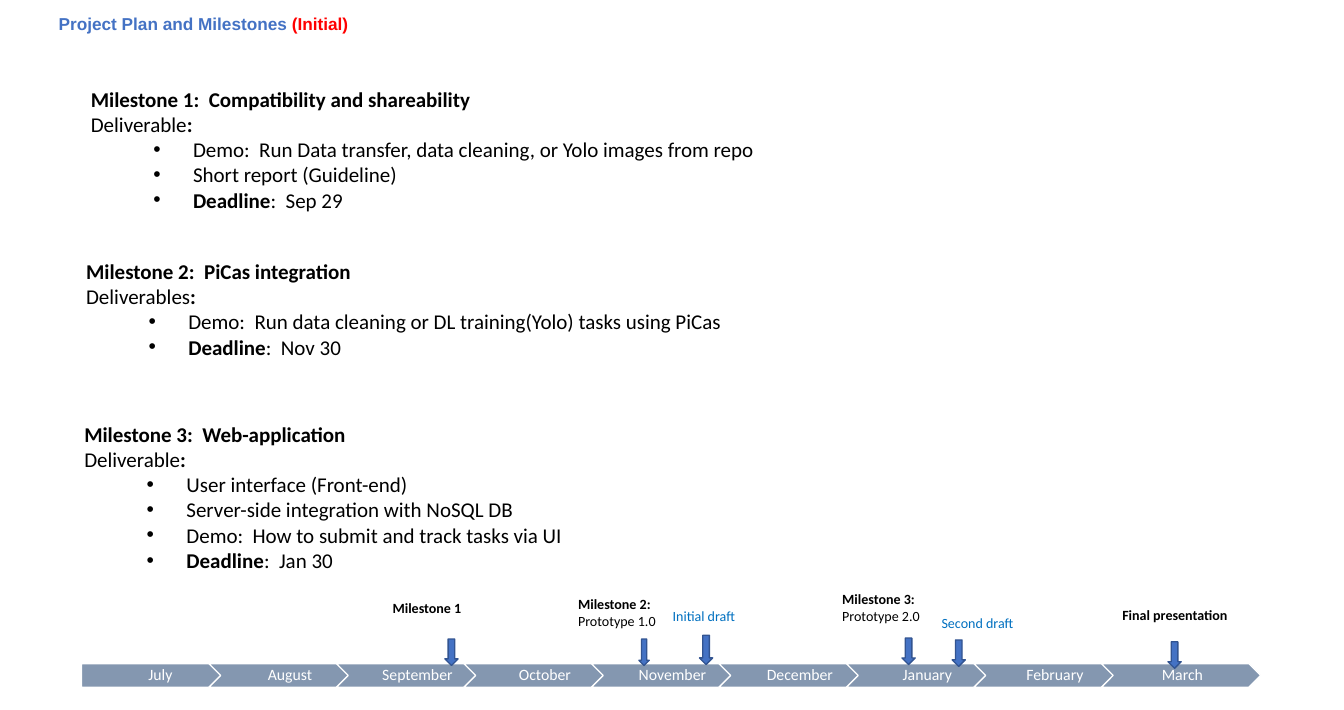
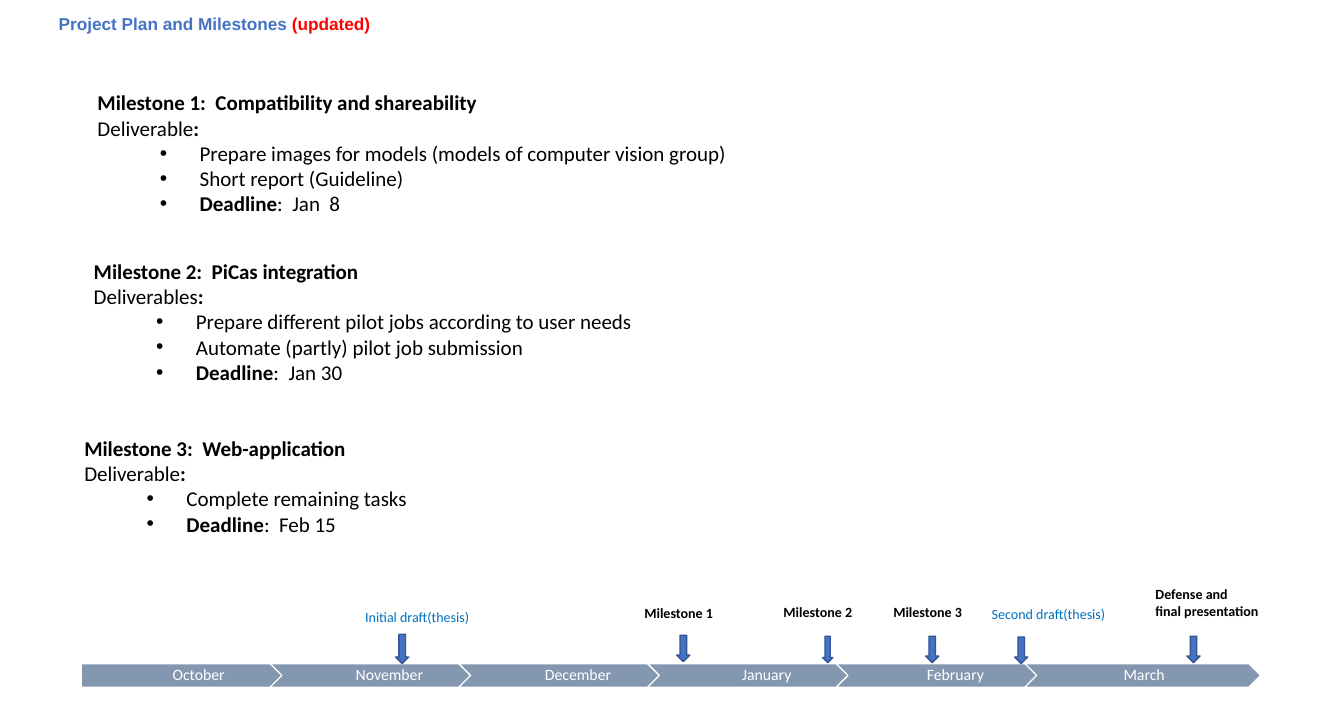
"""Build the two project plan slides, each with milestone lists over a month timeline."""
from dataclasses import dataclass

from lxml import etree
from pptx import Presentation
from pptx import util as u
from pptx.dml.color import RGBColor
from pptx.enum import shapes, text
from pptx.oxml import ns

BLUE = RGBColor(0x44, 0x72, 0xC4)
DARK_BLUE = RGBColor(0x32, 0x54, 0x91)
DRAFT_BLUE = RGBColor(0x00, 0x70, 0xC0)
SLATE = RGBColor(0x84, 0x97, 0xB0)
RED = RGBColor(0xFF, 0x00, 0x00)
BLACK = RGBColor(0x00, 0x00, 0x00)
WHITE = RGBColor(0xFF, 0xFF, 0xFF)

BAND_LEFT, BAND_TOP, BAND_WIDTH, BAND_HEIGHT = 0.86, 7.01, 12.46, 0.25
BAND_STEP = 0.8
LABEL_WIDTH = 2.0
COMPARISON_LAYOUT = 4


@dataclass(frozen=True)
class Milestone:
    heading: str
    left: float
    top: float
    tasks: tuple[str, ...]
    deadline: str
    deliverable: str = "Deliverable"
    width: float = 9.41


@dataclass(frozen=True)
class Marker:
    label: str
    left: float
    top: float
    arrow_left: float
    arrow_top: float
    detail: str = ""
    detail_bold: bool = False
    draft: bool = False
    arrow_width: float = 0.14
    arrow_height: float = 0.28


@dataclass(frozen=True)
class Plan:
    status: str
    milestones: tuple[Milestone, ...]
    months: tuple[str, ...]
    markers: tuple[Marker, ...]


PLANS = (
    Plan(
        "(Initial)",
        (
            Milestone("Milestone 1:  Compatibility and shareability", 0.86, 0.86,
                      ("Demo:  Run Data transfer, data cleaning, or Yolo images from repo",
                       "Short report (Guideline)"), "Sep 29"),
            Milestone("Milestone 2:  PiCas integration", 0.81, 2.68,
                      ("Demo:  Run data cleaning or DL training(Yolo) tasks using PiCas",),
                      "Nov 30", "Deliverables", 10.23),
            Milestone("Milestone 3:  Web-application", 0.79, 4.4,
                      ("User interface (Front-end)",
                       "Server-side integration with NoSQL DB",
                       "Demo:  How to submit and track tasks via UI"), "Jan 30"),
        ),
        ("July", "August", "September", "October", "November",
         "December", "January", "February", "March"),
        (
            Marker("Milestone 1", 4.05, 6.28, 4.7, 6.75),
            Marker("Milestone 2:", 6.01, 6.24, 6.75, 6.75, "Prototype 1.0", arrow_width=0.11),
            Marker("Initial draft", 7.01, 6.37, 7.39, 6.71, draft=True, arrow_height=0.31),
            Marker("Milestone 3:", 8.8, 6.19, 9.53, 6.74, "Prototype 2.0"),
            Marker("Second draft", 9.85, 6.44, 10.06, 6.76, draft=True),
            Marker("Final presentation", 11.76, 6.36, 12.34, 6.78),
        ),
    ),
    Plan(
        "(updated)",
        (
            Milestone("Milestone 1:  Compatibility and shareability", 0.93, 0.9,
                      ("Prepare images for models (models of computer vision group)",
                       "Short report (Guideline)"), "Jan  8"),
            Milestone("Milestone 2:  PiCas integration", 0.89, 2.68,
                      ("Prepare different pilot jobs according to user needs",
                       "Automate (partly) pilot job submission"),
                      "Jan 30", "Deliverables", 10.23),
            Milestone("Milestone 3:  Web-application", 0.79, 4.55,
                      ("Complete remaining tasks",), "Feb 15"),
        ),
        ("October", "November", "December", "January", "February", "March"),
        (
            Marker("Initial draft(thesis)", 3.76, 6.38, 4.18, 6.7, draft=True, arrow_height=0.31),
            Marker("Milestone 1", 6.71, 6.34, 7.15, 6.71),
            Marker("Milestone 2", 8.18, 6.33, 8.69, 6.72, arrow_width=0.11),
            Marker("Milestone 3", 9.34, 6.33, 9.78, 6.72),
            Marker("Second draft(thesis)", 10.38, 6.35, 10.72, 6.73, draft=True),
            Marker("Defense and", 12.11, 6.14, 12.54, 6.72, "final presentation",
                   detail_bold=True),
        ),
    ),
)


def add_run(p, content: str, *, size: float = 16, bold: bool = False,
            color: RGBColor = BLACK, font: str = "Calibri") -> None:
    """Append formatted text to a paragraph."""
    r = p.add_run()
    r.text = content
    r.font.name, r.font.size, r.font.bold = font, u.Pt(size), bold
    r.font.color.rgb = color


def next_paragraph(tf):
    """Return the empty first paragraph, or a new one after it."""
    return tf.paragraphs[0] if not tf.paragraphs[0].runs else tf.add_paragraph()


def place(sp, left: float, top: float, width: float, height: float) -> None:
    """Set the position and size of a shape in inches."""
    sp.left, sp.top = u.Inches(left), u.Inches(top)
    sp.width, sp.height = u.Inches(width), u.Inches(height)


def add_preset(s, kind, box: tuple[float, float, float, float],
               fill: RGBColor, line: RGBColor):
    """Draw a flat preset shape."""
    sp = s.shapes.add_shape(kind, *map(u.Inches, box))
    sp.shadow.inherit = False
    sp.fill.solid()
    sp.fill.fore_color.rgb = fill
    sp.line.color.rgb = line
    sp.line.width = u.Pt(1)
    return sp


def add_list_paragraph(tf, bullet: bool = False):
    """Add a heading line or an indented bullet line to a milestone list."""
    p = next_paragraph(tf)
    p.space_before, p.space_after, p.line_spacing = u.Pt(0), u.Pt(0), 1.0
    p.alignment = text.PP_ALIGN.LEFT
    p.level = int(bullet)
    pr = p._p.get_or_add_pPr()
    pr.set("marL", str(u.Inches(1.08 if bullet else 0)))
    pr.set("indent", str(u.Inches(-0.42 if bullet else 0)))
    if bullet:
        etree.SubElement(pr, ns.qn("a:buFont")).set("typeface", "Arial")
        etree.SubElement(pr, ns.qn("a:buChar")).set("char", "•")
    else:
        etree.SubElement(pr, ns.qn("a:buNone"))
    return p


def fill_title(sp, status: str) -> None:
    """Write the slide title with its status in red."""
    place(sp, 0.52, 0.02, 10.8, 0.48)
    tf = sp.text_frame
    tf.auto_size = text.MSO_AUTO_SIZE.NONE
    tf.vertical_anchor = text.MSO_ANCHOR.MIDDLE
    p = tf.paragraphs[0]
    p.alignment, p.line_spacing = text.PP_ALIGN.LEFT, 0.9
    for content, color in (("Project Plan and Milestones ", BLUE), (status, RED)):
        add_run(p, content, size=13.1, bold=True, color=color, font="Arial")


def fill_milestone(sp, item: Milestone) -> None:
    """Write one milestone into a body placeholder."""
    place(sp, item.left, item.top, item.width, 0.1 + 0.27 * (len(item.tasks) + 3))
    tf = sp.text_frame
    tf.auto_size = text.MSO_AUTO_SIZE.NONE
    tf.vertical_anchor = text.MSO_ANCHOR.TOP
    add_run(add_list_paragraph(tf), item.heading, bold=True)
    p = add_list_paragraph(tf)
    add_run(p, item.deliverable)
    add_run(p, ":", bold=True)
    for task in item.tasks:
        add_run(add_list_paragraph(tf, bullet=True), task)
    p = add_list_paragraph(tf, bullet=True)
    add_run(p, "Deadline", bold=True)
    add_run(p, f":  {item.deadline}")


def add_timeline(s, months: tuple[str, ...]) -> None:
    """Draw the month band as overlapping chevrons."""
    width = BAND_WIDTH / (BAND_STEP * (len(months) - 1) + 1)
    for i, month in enumerate(months):
        kind = shapes.MSO_SHAPE.CHEVRON if i else shapes.MSO_SHAPE.PENTAGON
        left = BAND_LEFT + i * BAND_STEP * width
        sp = add_preset(s, kind, (left, BAND_TOP, width, BAND_HEIGHT), SLATE, WHITE)
        tf = sp.text_frame
        tf.margin_left, tf.margin_right = u.Inches(0.05 if i else 0.07), u.Inches(0.02)
        tf.margin_top = tf.margin_bottom = u.Inches(0.04)
        tf.vertical_anchor = text.MSO_ANCHOR.MIDDLE
        p = tf.paragraphs[0]
        p.alignment, p.line_spacing = text.PP_ALIGN.CENTER, 0.9
        add_run(p, month, size=12, color=WHITE)


def add_marker(s, item: Marker) -> None:
    """Draw a labelled arrow pointing at the timeline."""
    add_preset(s, shapes.MSO_SHAPE.DOWN_ARROW,
               (item.arrow_left, item.arrow_top, item.arrow_width, item.arrow_height),
               BLUE, DARK_BLUE)
    height = 0.46 if item.detail else 0.28
    sp = s.shapes.add_textbox(*map(u.Inches, (item.left, item.top, LABEL_WIDTH, height)))
    tf = sp.text_frame
    tf.word_wrap = True
    add_run(tf.paragraphs[0], item.label, size=10.7, bold=not item.draft,
            color=DRAFT_BLUE if item.draft else BLACK)
    if item.detail:
        add_run(tf.add_paragraph(), item.detail, size=10.7, bold=item.detail_bold)


def add_plan(prs, plan: Plan) -> None:
    """Add one plan slide."""
    s = prs.slides.add_slide(prs.slide_layouts[COMPARISON_LAYOUT])
    title, *bodies = list(s.placeholders)
    fill_title(title, plan.status)
    for sp, item in zip(bodies, plan.milestones):
        fill_milestone(sp, item)
    for sp in bodies[len(plan.milestones):]:
        sp.element.getparent().remove(sp.element)
    add_timeline(s, plan.months)
    for item in plan.markers:
        add_marker(s, item)


def main() -> None:
    """Build and save the presentation."""
    prs = Presentation()
    prs.slide_width, prs.slide_height = u.Inches(14.2), u.Inches(7.5)
    for plan in PLANS:
        add_plan(prs, plan)
    prs.save("out.pptx")


if __name__ == "__main__":
    main()
